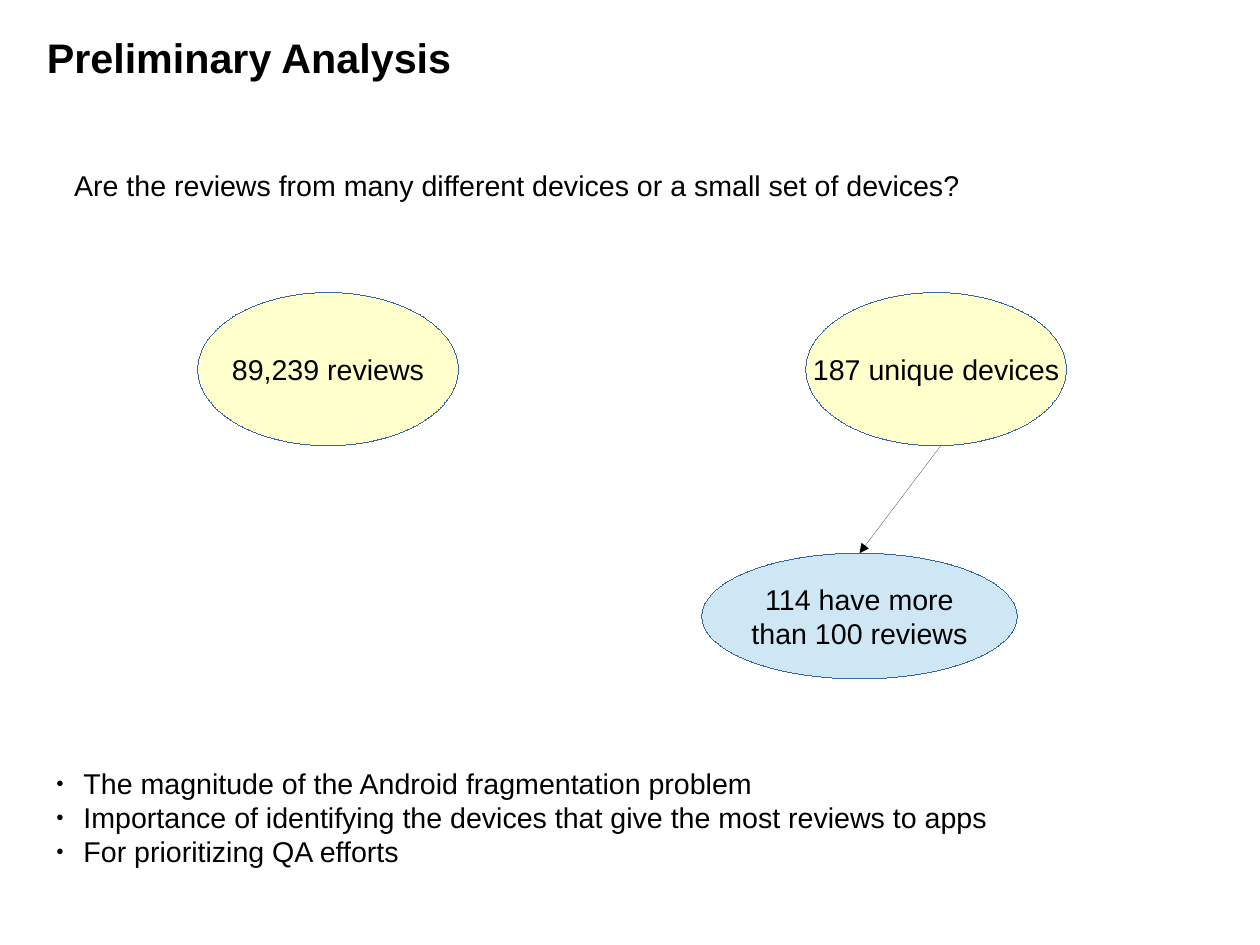
import pptx
import pptx.util
import pptx.dml.color
import pptx.enum.shapes
import pptx.enum.text
import pptx.oxml
import pptx.oxml.ns

Inches, Pt = pptx.util.Inches, pptx.util.Pt
RGB = pptx.dml.color.RGBColor
ALIGN = pptx.enum.text.PP_ALIGN
ANCHOR = pptx.enum.text.MSO_ANCHOR
BLACK = RGB(0, 0, 0)
BLUE = RGB(0x34, 0x65, 0xA4)
CREAM = RGB(0xFF, 0xFF, 0xCC)
PALE = RGB(0xCF, 0xE7, 0xF5)
HAIR = Pt(0.01)

POINTS = [
    "The magnitude of the Android fragmentation problem",
    "Importance of identifying the devices that give the most reviews to apps",
    "For prioritizing QA efforts",
]


def add_xml(parent, tag, body="", attrs=""):
    names = pptx.oxml.ns.nsdecls("a")
    parent.append(pptx.oxml.parse_xml(f"<a:{tag} {names} {attrs}>{body}</a:{tag}>"))


def add_bullet(para):
    props = para._p.get_or_add_pPr()
    props.set("marL", str(Inches(0.24)))
    props.set("indent", str(-Inches(0.24)))
    add_xml(props, "buClr", f'<a:srgbClr val="{BLACK}"/>')
    add_xml(props, "buSzPct", attrs='val="45000"')
    add_xml(props, "buFont", attrs='typeface="Arial"')
    add_xml(props, "buChar", attrs='char="●"')


def put_text(shape, lines, size=18, bold=False, align=ALIGN.LEFT,
             anchor=ANCHOR.TOP, wrap=True, bullet=False):
    frame = shape.text_frame
    frame.text = "\n".join(lines)
    frame.auto_size = pptx.enum.text.MSO_AUTO_SIZE.NONE
    frame.word_wrap = wrap
    frame.vertical_anchor = anchor
    for para in frame.paragraphs:
        para.alignment = align
        para.space_before = Pt(0)
        if bullet:
            add_bullet(para)
        for run in para.runs:
            run.font.name = "Arial"
            run.font.size = Pt(size)
            run.font.bold = bold
            run.font.color.rgb = BLACK


def place(shape, box):
    shape.left, shape.top, shape.width, shape.height = map(Inches, box)


def add_oval(slide, box, lines, fill):
    kind = pptx.enum.shapes.MSO_SHAPE.OVAL
    oval = slide.shapes.add_shape(kind, *map(Inches, box))
    oval.shadow.inherit = False
    oval.fill.solid()
    oval.fill.fore_color.rgb = fill
    oval.line.color.rgb = BLUE
    oval.line.width = HAIR
    put_text(oval, lines, align=ALIGN.CENTER, anchor=ANCHOR.MIDDLE, wrap=False)
    return oval


def add_arrow(slide, start, goal):
    """Draw an arrow from a point to the top of the goal shape."""
    kind = pptx.enum.shapes.MSO_CONNECTOR.STRAIGHT
    x, y = map(Inches, start)
    arrow = slide.shapes.add_connector(kind, x, y, x, y)
    arrow.end_connect(goal, 0)
    arrow.line.color.rgb = BLACK
    arrow.line.width = HAIR
    add_xml(arrow.line._get_or_add_ln(), "tailEnd", attrs='type="triangle"')
    add_xml(arrow._element.spPr, "effectLst")


def add_head(slide, box):
    title = slide.shapes.title
    place(title, box)
    put_text(title, ["Preliminary Analysis"], size=26, bold=True, wrap=False)


def add_query(slide, box):
    query = slide.shapes.add_textbox(*map(Inches, box))
    put_text(query, ["Are the reviews from many different devices "
                     "or a small set of devices?"])


def add_counts(slide, box):
    left, top, width, height = box
    wide, high = 2.28, 1.34
    right = left + width - wide
    add_oval(slide, (left, top, wide, high), ["89,239 reviews"], CREAM)
    add_oval(slide, (right, top, wide, high), ["187 unique devices"], CREAM)
    subset = add_oval(slide, (right - 0.91, top + height - 1.1, 2.76, 1.1),
                      ["114 have more", "than 100 reviews"], PALE)
    add_arrow(slide, (right + 1.18, top + high), subset)


def add_points(slide, box):
    body = slide.placeholders[1]
    place(body, box)
    put_text(body, POINTS, bullet=True)


def main():
    deck = pptx.Presentation()
    deck.slide_width = pptx.util.Cm(28)
    deck.slide_height = pptx.util.Cm(21)
    slide = deck.slides.add_slide(deck.slide_layouts[1])
    add_head(slide, (0.31, 0.23, 3.78, 0.5))
    add_query(slide, (0.55, 1.42, 10.08, 0.66))
    add_counts(slide, (1.73, 2.56, 7.6, 3.38))
    add_points(slide, (0.39, 6.65, 10.39, 0.94))
    deck.save("out.pptx")


if __name__ == "__main__":
    main()
